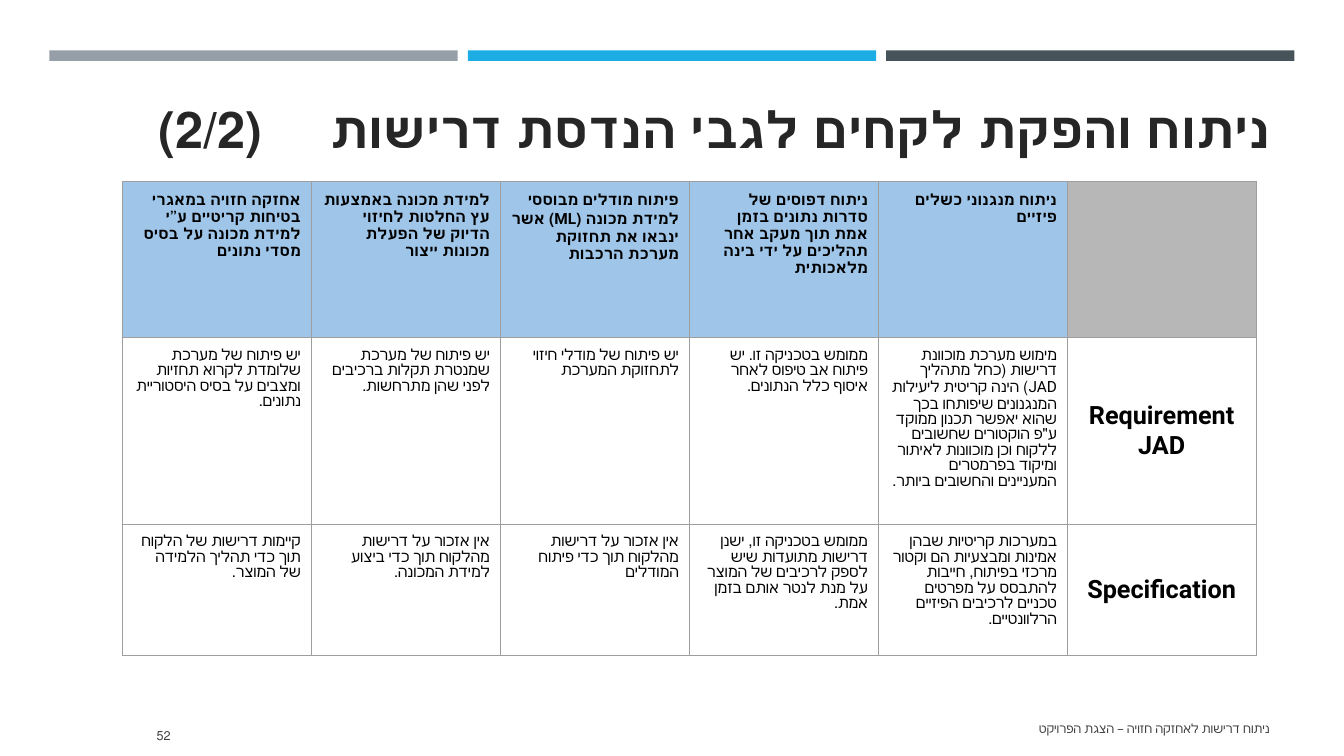
from dataclasses import dataclass

from lxml import etree
from pptx import Presentation
from pptx.dml.color import RGBColor
from pptx.enum.shapes import MSO_SHAPE
from pptx.enum.text import MSO_ANCHOR, MSO_AUTO_SIZE, PP_ALIGN
from pptx.oxml.ns import qn
from pptx.util import Inches, Pt

RECT = MSO_SHAPE.RECTANGLE
TOP, MIDDLE, BOTTOM = MSO_ANCHOR.TOP, MSO_ANCHOR.MIDDLE, MSO_ANCHOR.BOTTOM
RIGHT, CENTER = PP_ALIGN.RIGHT, PP_ALIGN.CENTER
NO_FIT = MSO_AUTO_SIZE.NONE

WIDTH, HEIGHT = Inches(13.33), Inches(7.5)
FONT = "Roboto"
BLACK = RGBColor(0x00, 0x00, 0x00)
INK = RGBColor(0x26, 0x26, 0x26)
SMOKE = RGBColor(0x3F, 0x3F, 0x3F)
SLATE = RGBColor(0x46, 0x53, 0x59)
STEEL = RGBColor(0x96, 0x9F, 0xA7)
AZURE = RGBColor(0x1C, 0xAD, 0xE4)
SKY = RGBColor(0x9F, 0xC5, 0xE8)
SILVER = RGBColor(0xB7, 0xB7, 0xB7)
BORDER = RGBColor(0x9E, 0x9E, 0x9E)


@dataclass(frozen=True)
class Box:
    """A place on the slide, in percent of its width and height."""
    left: float
    top: float
    width: float
    height: float

    def emu(self) -> tuple[int, int, int, int]:
        """Return left, top, width and height as lengths."""
        return (across(self.left), down(self.top),
                across(self.width), down(self.height))


@dataclass(frozen=True)
class Style:
    """The look of a paragraph."""
    size: float
    color: RGBColor
    bold: bool = False
    align: PP_ALIGN = RIGHT
    rtl: bool = True
    lines: float = 1.0


@dataclass(frozen=True)
class Note:
    """A small text at the foot of the slide."""
    text: str
    box: Box
    anchor: MSO_ANCHOR


TITLE = Style(36, INK, True)
FOOT = Style(9, SMOKE)
HEAD = Style(11, BLACK, True, lines=1.1)
BODY = Style(11, BLACK)
LABEL = Style(18, BLACK, True, CENTER, False)

BARS = [STEEL, AZURE, SLATE]
BAR = Box(3.68, 6.67, 30.38, 1.4)
BAR_STEP = 31.13
TITLE_BOX = Box(4.8, 10.27, 90.47, 11.33)
NOTES = [
    Note("ניתוח דרישות לאחזקה חזויה – הצגת הפרויקט", Box(38.48, 94.67, 56.71, 5.33), TOP),
    Note("52", Box(4.8, 94.67, 8.63, 5.33), MIDDLE),
]

GRID = Box(9.08, 24, 84.4, 31.87)
ROW_SIZES = [20.67, 5.6, 5.6]
ROWS = [
    [
        "אחזקה חזויה במאגרי בטיחות קריטיים ע”י למידת מכונה על בסיס מסדי נתונים",
        "למידת מכונה באמצעות עץ החלטות לחיזוי הדיוק של הפעלת מכונות ייצור",
        "פיתוח מודלים מבוססי למידת מכונה (ML) אשר ינבאו את תחזוקת מערכת הרכבות",
        "ניתוח דפוסים של סדרות נתונים בזמן אמת תוך מעקב אחר תהליכים על ידי בינה מלאכותית",
        "ניתוח מנגנוני כשלים פיזיים",
        "",
    ],
    [
        "יש פיתוח של מערכת שלומדת לקרוא תחזיות ומצבים על בסיס היסטוריית נתונים.",
        "יש פיתוח של מערכת שמנטרת תקלות ברכיבים לפני שהן מתרחשות.",
        "יש פיתוח של מודלי חיזוי לתחזוקת המערכת",
        "ממומש בטכניקה זו. יש פיתוח אב טיפוס לאחר איסוף כלל הנתונים.",
        "מימוש מערכת מוכוונת דרישות (כחל מתהליך JAD) הינה קריטית ליעילות "
        "המנגנונים שיפותחו בכך שהוא יאפשר תכנון ממוקד ע\"פ הוקטורים שחשובים "
        "ללקוח וכן מוכוונות לאיתור ומיקוד בפרמטרים המעניינים והחשובים ביותר.",
        "Requirement JAD",
    ],
    [
        "קיימות דרישות של הלקוח תוך כדי תהליך הלמידה של המוצר.",
        "אין אזכור על דרישות מהלקוח תוך כדי ביצוע למידת המכונה.",
        "אין אזכור על דרישות מהלקוח תוך כדי פיתוח המודלים",
        "ממומש בטכניקה זו, ישנן דרישות מתועדות שיש לספק לרכיבים של המוצר "
        "על מנת לנטר אותם בזמן אמת.",
        "במערכות קריטיות שבהן אמינות ומבצעיות הם וקטור מרכזי בפיתוח, חייבות "
        "להתבסס על מפרטים טכניים לרכיבים הפיזיים הרלוונטיים.",
        "Specification",
    ],
]


def across(share: float) -> int:
    """Turn a percentage of the slide's width into a length."""
    return round(WIDTH * share / 100)


def down(share: float) -> int:
    """Turn a percentage of the slide's height into a length."""
    return round(HEIGHT * share / 100)


def write(frame, text: str, style: Style) -> None:
    """Fill a text frame with one styled paragraph."""
    frame.word_wrap = True
    para = frame.paragraphs[0]
    para.text = text
    para.alignment = style.align
    para.line_spacing = style.lines
    props = para._p.get_or_add_pPr()
    props.set("rtl", str(int(style.rtl)))
    props.set("defTabSz", str(Inches(1)))
    font = para.font
    font.name, font.size, font.bold = FONT, Pt(style.size), style.bold
    font.color.rgb = style.color


def add_bar(slide, index: int, color: RGBColor) -> None:
    """Draw one of the bars along the top."""
    box = Box(BAR.left + index * BAR_STEP, BAR.top, BAR.width, BAR.height)
    bar = slide.shapes.add_shape(RECT, *box.emu())
    bar.shadow.inherit = False
    bar.fill.solid()
    bar.fill.fore_color.rgb = color
    bar.line.fill.background()


def add_title(slide, text: str) -> None:
    """Place and fill the title."""
    title = slide.shapes.title
    title.left, title.top, title.width, title.height = TITLE_BOX.emu()
    title.text_frame.auto_size = NO_FIT
    title.text_frame.vertical_anchor = BOTTOM
    write(title.text_frame, text, TITLE)


def add_note(slide, note: Note) -> None:
    """Draw a text at the foot of the slide."""
    frame = slide.shapes.add_textbox(*note.box.emu()).text_frame
    frame.vertical_anchor = note.anchor
    write(frame, note.text, FOOT)


def add_edges(cell) -> None:
    """Draw thin lines round a table cell."""
    props = cell._tc.get_or_add_tcPr()
    for side in ("lnL", "lnR", "lnT", "lnB"):
        line = etree.SubElement(props, qn(f"a:{side}"), w=str(Pt(0.75)))
        fill = etree.SubElement(line, qn("a:solidFill"))
        etree.SubElement(fill, qn("a:srgbClr"), val=str(BORDER))


def fill_cell(cell, text: str, head: bool, label: bool) -> None:
    """Format and fill a table cell by its row and column."""
    cell.margin_left = cell.margin_right = Inches(0.1)
    cell.margin_top = cell.margin_bottom = Inches(0.1)
    cell.vertical_anchor = MIDDLE if label else TOP
    add_edges(cell)
    if head:
        cell.fill.solid()
        cell.fill.fore_color.rgb = SILVER if label else SKY
    else:
        cell.fill.background()
    if text:
        write(cell.text_frame, text, LABEL if label else HEAD if head else BODY)


def add_grid(slide) -> None:
    """Build the table of techniques and requirements."""
    count = len(ROWS[0])
    table = slide.shapes.add_table(len(ROWS), count, *GRID.emu()).table
    table.first_row = table.horz_banding = False
    for column in table.columns:
        column.width = across(GRID.width / count)
    for r, (texts, size) in enumerate(zip(ROWS, ROW_SIZES)):
        table.rows[r].height = down(size)
        for c, text in enumerate(texts):
            fill_cell(table.cell(r, c), text, r == 0, c == count - 1)


def main() -> None:
    """Build and save the slide."""
    deck = Presentation()
    deck.slide_width, deck.slide_height = WIDTH, HEIGHT
    slide = deck.slides.add_slide(deck.slide_layouts[5])
    for index, color in enumerate(BARS):
        add_bar(slide, index, color)
    for note in NOTES:
        add_note(slide, note)
    add_grid(slide)
    add_title(slide, "ניתוח והפקת לקחים לגבי הנדסת דרישות\t\t(2/2)")
    deck.save("out.pptx")


if __name__ == "__main__":
    main()
